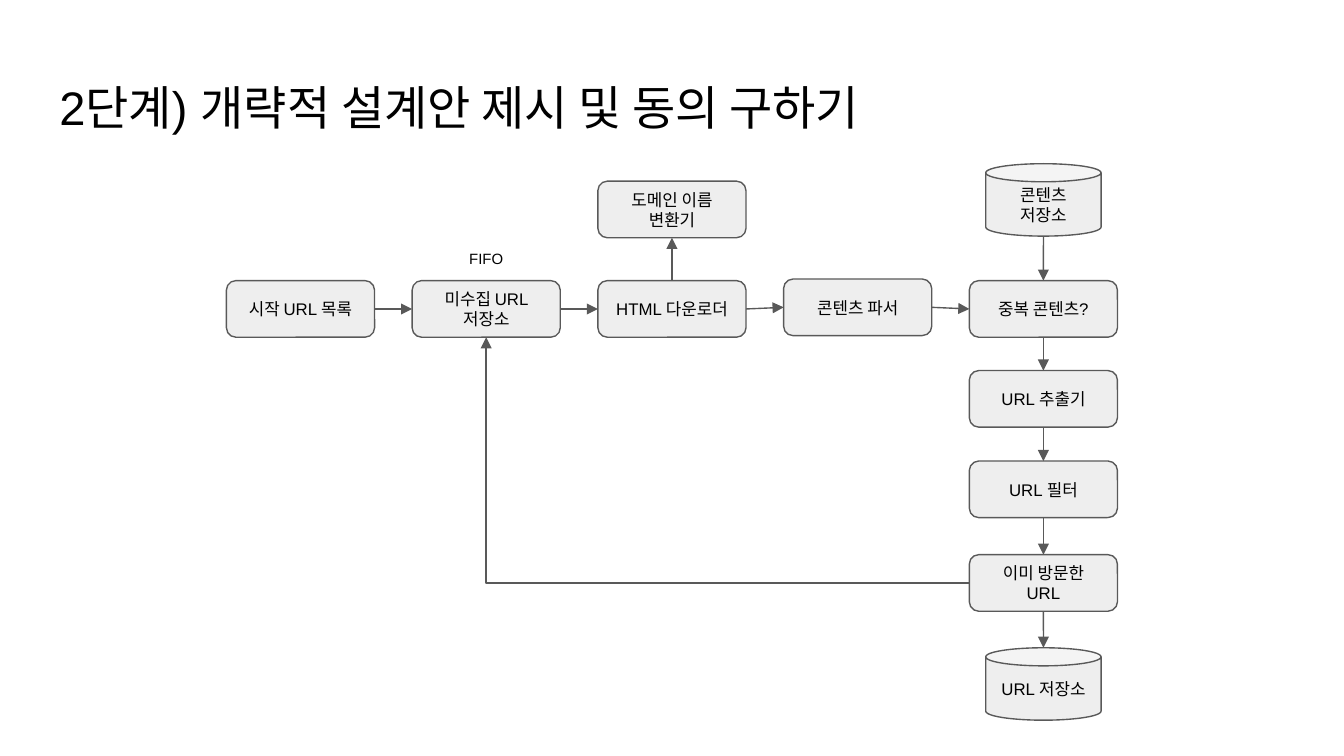
"""Build the web crawler outline design slide."""
from dataclasses import dataclass

from lxml import etree
from pptx import Presentation
from pptx.dml.color import RGBColor
from pptx.enum.shapes import MSO_CONNECTOR, MSO_SHAPE
from pptx.enum.text import MSO_ANCHOR, MSO_AUTO_SIZE, PP_ALIGN
from pptx.oxml.ns import qn
from pptx.util import Cm, Pt

STRAIGHT, ELBOW = MSO_CONNECTOR.STRAIGHT, MSO_CONNECTOR.ELBOW
BOX, CAN = MSO_SHAPE.ROUNDED_RECTANGLE, MSO_SHAPE.CAN
LEFT, CENTER = PP_ALIGN.LEFT, PP_ALIGN.CENTER
TOP, MIDDLE = MSO_ANCHOR.TOP, MSO_ANCHOR.MIDDLE
NO_AUTOFIT = MSO_AUTO_SIZE.NONE
SIDE_TOP, SIDE_LEFT, SIDE_BOTTOM, SIDE_RIGHT = range(4)


@dataclass(frozen=True)
class Theme:
    """Fonts, sizes and colours of the slide."""
    font: str = "Arial"
    ink: RGBColor = RGBColor(0, 0, 0)
    fill: RGBColor = RGBColor(0xEE, 0xEE, 0xEE)
    line: RGBColor = RGBColor(0x59, 0x59, 0x59)
    line_width: float = 0.75
    title_size: float = 25.2
    node_size: float = 9
    note_size: float = 8
    inset: float = 0.25


def write(shape, text, *, theme, size, align=CENTER, anchor=MIDDLE):
    """Put formatted text into a shape."""
    frame = shape.text_frame
    frame.auto_size = NO_AUTOFIT
    frame.word_wrap = True
    frame.vertical_anchor = anchor
    frame.margin_left = frame.margin_right = Cm(theme.inset)
    frame.margin_top = frame.margin_bottom = Cm(theme.inset)
    paragraph = frame.paragraphs[0]
    paragraph.alignment = align
    run = paragraph.add_run()
    run.text = text
    run.font.name = theme.font
    run.font.size = Pt(size)
    run.font.color.rgb = theme.ink


def side_point(shape, side):
    """Return the middle of one side of a shape."""
    x = {SIDE_LEFT: 0, SIDE_RIGHT: shape.width}.get(side, shape.width // 2)
    y = {SIDE_TOP: 0, SIDE_BOTTOM: shape.height}.get(side, shape.height // 2)
    return shape.left + x, shape.top + y


class Diagram:
    """Draws flow chart elements on one slide."""

    sizes = {BOX: (2.8, 1.07), CAN: (2.18, 1.37)}

    def __init__(self, slide, theme):
        """Keep the slide and its style."""
        self.slide = slide
        self.theme = theme

    def title(self, text, left, top, width, height):
        """Place and fill the title placeholder."""
        heading = self.slide.shapes.title
        heading.left, heading.top = Cm(left), Cm(top)
        heading.width, heading.height = Cm(width), Cm(height)
        write(heading, text, theme=self.theme, size=self.theme.title_size,
              align=LEFT, anchor=TOP)

    def node(self, text, x, y, kind=BOX):
        """Add a step or a store centred on a point."""
        width, height = self.sizes[kind]
        node = self.slide.shapes.add_shape(
            kind, Cm(x - width / 2), Cm(y - height / 2), Cm(width), Cm(height))
        node.shadow.inherit = False
        node.fill.solid()
        node.fill.fore_color.rgb = self.theme.fill
        node.line.color.rgb = self.theme.line
        node.line.width = Pt(self.theme.line_width)
        write(node, text, theme=self.theme, size=self.theme.node_size)
        return node

    def note(self, text, x, top, width, height):
        """Add a text label centred on x."""
        label = self.slide.shapes.add_textbox(
            Cm(x - width / 2), Cm(top), Cm(width), Cm(height))
        write(label, text, theme=self.theme, size=self.theme.note_size, anchor=TOP)

    def arrow(self, source, source_side, target, target_side, kind=STRAIGHT):
        """Join two nodes with an arrow, attached to boxes."""
        link = self.slide.shapes.add_connector(
            kind, *side_point(source, source_side), *side_point(target, target_side))
        if source.auto_shape_type == BOX:
            link.begin_connect(source, source_side)
        if target.auto_shape_type == BOX:
            link.end_connect(target, target_side)
        link.line.color.rgb = self.theme.line
        link.line.width = Pt(self.theme.line_width)
        properties = link._element.spPr
        if kind == ELBOW:
            properties.find(qn("a:prstGeom")).set("prst", "bentConnector2")
        outline = properties.find(qn("a:ln"))
        etree.SubElement(outline, qn("a:tailEnd"), type="triangle")
        etree.SubElement(properties, qn("a:effectLst"))


def main():
    """Build and save the slide."""
    deck = Presentation()
    deck.slide_width, deck.slide_height = Cm(25.4), Cm(14.29)
    diagram = Diagram(deck.slides.add_slide(deck.slide_layouts[5]), Theme())
    diagram.title("2단계) 개략적 설계안 제시 및 동의 구하기", 0.87, 1.24, 23.67, 1.6)

    columns = [5.68 + 3.51 * index for index in range(5)]
    frontier_x, downloader_x, check_x = columns[1], columns[2], columns[4]
    main_y = 5.84

    names = ["시작 URL 목록", "미수집 URL 저장소", "HTML 다운로더",
             "콘텐츠 파서", "중복 콘텐츠?"]
    heights = [main_y, main_y, main_y, main_y - 0.03, main_y]
    pipeline = [diagram.node(*step) for step in zip(names, columns, heights)]
    frontier, downloader, duplicate_check = pipeline[1], pipeline[2], pipeline[4]

    resolver = diagram.node("도메인 이름 변환기", downloader_x, 3.96)
    content_store = diagram.node("콘텐츠 저장소", check_x, 3.78, CAN)
    extractor = diagram.node("URL 추출기", check_x, 7.54)
    url_filter = diagram.node("URL 필터", check_x, 9.25)
    visited = diagram.node("이미 방문한 URL", check_x, 11.02)
    url_store = diagram.node("URL 저장소", check_x, 12.93, CAN)

    for source, target in zip(pipeline, pipeline[1:]):
        diagram.arrow(source, SIDE_RIGHT, target, SIDE_LEFT)
    chain = [content_store, duplicate_check, extractor, url_filter, visited, url_store]
    for source, target in zip(chain, chain[1:]):
        diagram.arrow(source, SIDE_BOTTOM, target, SIDE_TOP)
    diagram.arrow(downloader, SIDE_TOP, resolver, SIDE_BOTTOM)
    diagram.arrow(visited, SIDE_LEFT, frontier, SIDE_BOTTOM, ELBOW)
    diagram.note("FIFO", frontier_x, 4.47, 2.4, 0.87)

    deck.save("out.pptx")


if __name__ == "__main__":
    main()
